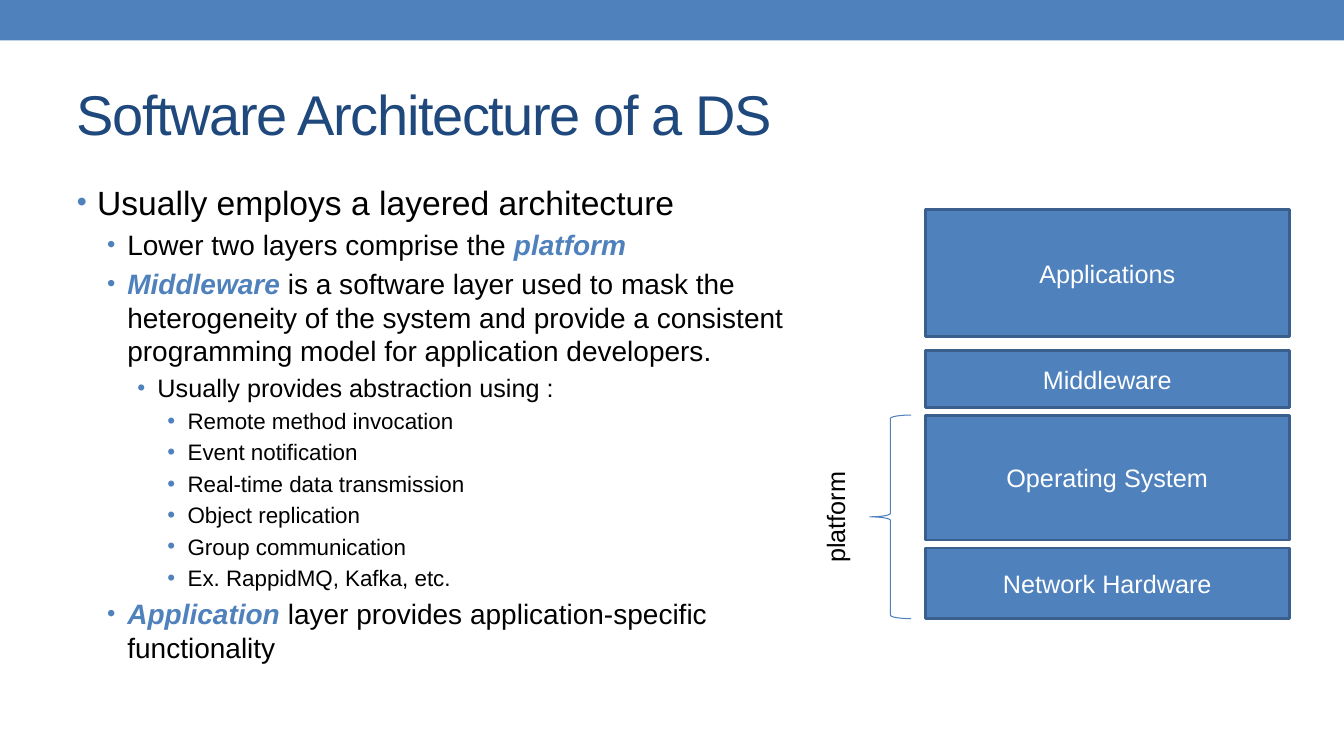
"""Build a slide on the software layers of a distributed system."""
from lxml.etree import SubElement as Sub
from pptx import Presentation as Deck
from pptx.dml.color import RGBColor as Rgb
from pptx.enum.shapes import MSO_SHAPE as Kind
from pptx.enum.text import MSO_ANCHOR as Anchor, PP_ALIGN as Align
from pptx.oxml.ns import qn
from pptx.util import Cm, Pt

BLUE = Rgb(0x4F, 0x81, 0xBD)
NAVY = Rgb(0x1F, 0x49, 0x7D)
EDGE = Rgb(0x3A, 0x5F, 0x8C)
BLACK = Rgb(0, 0, 0)
WHITE = Rgb(255, 255, 255)

SIZES = (24, 20, 18, 16)
MARKS = (85, 85, 90, 100)
POINTS = [
    (0, ["Usually employs a layered architecture"]),
    (1, ["Lower two layers comprise the ", "*platform"]),
    (1, ["*Middleware", " is a software layer used to mask the heterogeneity of the system "
         "and provide a consistent programming model for application developers."]),
    (2, ["Usually provides abstraction using :"]),
    (3, ["Remote method invocation"]),
    (3, ["Event notification"]),
    (3, ["Real-time data transmission"]),
    (3, ["Object replication"]),
    (3, ["Group communication"]),
    (3, ["Ex. RappidMQ, Kafka, etc."]),
    (1, ["*Application", " layer provides application-specific functionality"]),
]
LAYERS = [
    ("Applications", 0, 3.2),
    ("Middleware", 3.56, 1.42),
    ("Operating System", 5.18, 3.15),
    ("Network Hardware", 8.53, 1.78),
]


def style(font, size, color):
    """Set the face, size and colour of a font."""
    font.name, font.size = "Arial", Pt(size)
    font.color.rgb = color


def add_shape(slide, kind, box, fill=None, edge=None, width=0):
    """Add a flat shape in the box."""
    shape = slide.shapes.add_shape(kind, *map(Cm, box))
    shape.shadow.inherit = False
    if fill is None:
        shape.fill.background()
    else:
        shape.fill.solid()
        shape.fill.fore_color.rgb = fill
    if edge is None:
        shape.line.fill.background()
    else:
        shape.line.color.rgb = edge
        shape.line.width = Pt(width)
    return shape


def add_title(slide, box, text):
    """Add the title, set a little tight."""
    frame = slide.shapes.add_textbox(*map(Cm, box)).text_frame
    frame.word_wrap = True
    frame.vertical_anchor = Anchor.MIDDLE
    para = frame.paragraphs[0]
    run = para.add_run()
    run.text = text
    style(para.font, 40, NAVY)
    run._r.get_or_add_rPr().set("spc", "-100")


def add_mark(para, level):
    """Indent a paragraph and give it a bullet."""
    props = para._p.get_or_add_pPr()
    props.set("marL", str(Cm(0.51 + 0.76 * level)))
    props.set("indent", str(Cm(-0.51)))
    Sub(Sub(props, qn("a:buClr")), qn("a:srgbClr")).set("val", str(BLUE))
    Sub(props, qn("a:buSzPct")).set("val", str(MARKS[level] * 1000))
    Sub(props, qn("a:buFont")).set("typeface", "Arial")
    Sub(props, qn("a:buChar")).set("char", "•")


def add_points(slide, box, points):
    """Add the bullet list; a star marks a key term."""
    frame = slide.shapes.add_textbox(*map(Cm, box)).text_frame
    frame.word_wrap = True
    for index, (level, parts) in enumerate(points):
        para = frame.add_paragraph() if index else frame.paragraphs[0]
        size = SIZES[level]
        para.level = level
        if index:
            para.space_before = Pt(0.2 * size)
        add_mark(para, level)
        style(para.font, size, BLACK)
        for part in parts:
            run = para.add_run()
            run.text = part.lstrip("*")
            if part.startswith("*"):
                style(run.font, size, BLUE)
                run.font.bold = run.font.italic = True


def add_stack(slide, box, layers):
    """Stack the layers and brace the lower two as the platform."""
    left, top, width, height = box
    for text, drop, tall in layers:
        shape = add_shape(slide, Kind.RECTANGLE, (left, top + drop, width, tall), BLUE, EDGE, 2.08)
        frame = shape.text_frame
        frame.vertical_anchor = Anchor.MIDDLE
        para = frame.paragraphs[0]
        para.text = text
        para.alignment = Align.CENTER
        style(para.font, 18, WHITE)
    start = layers[2][1]
    span = height - start
    add_shape(slide, Kind.LEFT_BRACE, (left - 1.4, top + start, 1.04, span), None, BLUE, 0.75)
    mid = top + start + span / 2
    label = slide.shapes.add_textbox(Cm(left - 3.68), Cm(mid - 0.51), Cm(2.82), Cm(1.02))
    label.rotation = 270
    label.text_frame.word_wrap = False
    para = label.text_frame.paragraphs[0]
    para.text = "platform"
    style(para.font, 18, BLACK)


def main():
    """Build and save the slide."""
    deck = Deck()
    deck.slide_width, deck.slide_height = Cm(33.87), Cm(19.05)
    slide = deck.slides.add_slide(deck.slide_layouts[6])
    add_shape(slide, Kind.RECTANGLE, (0, 0, 33.87, 1.02), BLUE)
    add_title(slide, (1.69, 1.48, 30.48, 2.74), "Software Architecture of a DS")
    add_points(slide, (1.69, 4.45, 19.9, 13.55), POINTS)
    add_stack(slide, (23.32, 5.28, 9.17, 10.31), LAYERS)
    deck.save("out.pptx")


if __name__ == "__main__":
    main()
